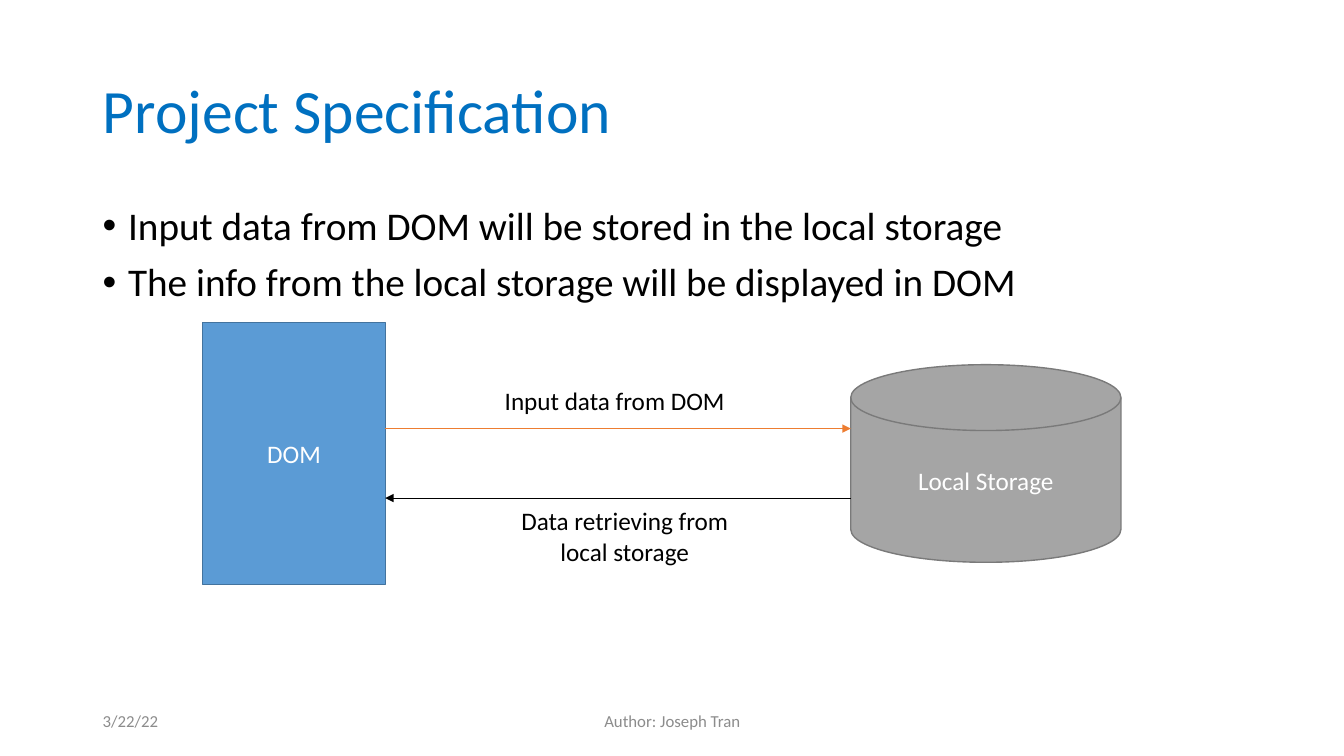
from pptx import Presentation
from pptx.dml.color import RGBColor
from pptx.enum.shapes import MSO_CONNECTOR, MSO_SHAPE
from pptx.enum.text import MSO_ANCHOR, MSO_AUTO_SIZE, PP_ALIGN
from pptx.oxml.ns import qn
from pptx.util import Cm, Pt
from lxml.etree import SubElement

FONT = "Calibri"
BLACK = RGBColor(0x00, 0x00, 0x00)
WHITE = RGBColor(0xFF, 0xFF, 0xFF)
TITLE_BLUE = RGBColor(0x00, 0x70, 0xC0)
FOOTER_GREY = RGBColor(0x8C, 0x8C, 0x8C)
DOM_FILL = RGBColor(0x5B, 0x9B, 0xD5)
DOM_EDGE = RGBColor(0x43, 0x73, 0x9E)
STORAGE_FILL = RGBColor(0xA5, 0xA5, 0xA5)
STORAGE_EDGE = RGBColor(0x7A, 0x7A, 0x7A)
ORANGE = RGBColor(0xED, 0x7D, 0x31)

MARGIN, CONTENT_WIDTH = 2.34, 29.21


def write(shape, lines, size, color, align=PP_ALIGN.LEFT, anchor=MSO_ANCHOR.MIDDLE):
    frame = shape.text_frame
    frame.text = "\n".join(lines)
    frame.word_wrap = True
    frame.auto_size = MSO_AUTO_SIZE.NONE
    frame.vertical_anchor = anchor
    for para in frame.paragraphs:
        para.alignment = align
        para.font.name = FONT
        para.font.size = Pt(size)
        para.font.color.rgb = color
    return frame.paragraphs


def add_text(page, box, lines, size, color, align=PP_ALIGN.LEFT, anchor=MSO_ANCHOR.MIDDLE):
    shape = page.shapes.add_textbox(*map(Cm, box))
    return write(shape, lines, size, color, align, anchor)


def add_title(page, box, text):
    title = page.shapes.title
    title.left, title.top, title.width, title.height = map(Cm, box)
    write(title, [text], 44, TITLE_BLUE)[0].line_spacing = 0.9


def add_bullets(page, box, lines):
    for para in add_text(page, box, lines, 28, BLACK, anchor=MSO_ANCHOR.TOP):
        para.line_spacing = 0.9
        para.space_before = Pt(10)
        properties = para._p.get_or_add_pPr()
        properties.set("marL", str(Cm(0.64)))
        properties.set("indent", str(-Cm(0.64)))
        SubElement(properties, qn("a:buFont"), typeface="Arial")
        SubElement(properties, qn("a:buChar"), char="•")


def add_node(page, kind, box, text, fill, edge):
    node = page.shapes.add_shape(kind, *map(Cm, box))
    node.shadow.inherit = False
    node.fill.solid()
    node.fill.fore_color.rgb = fill
    node.line.color.rgb = edge
    node.line.width = Pt(1)
    write(node, [text], 18, WHITE, PP_ALIGN.CENTER)


def add_arrow(page, start, end, height, color):
    arrow = page.shapes.add_connector(
        MSO_CONNECTOR.STRAIGHT, Cm(start), Cm(height), Cm(end), Cm(height))
    arrow.line.color.rgb = color
    arrow.line.width = Pt(0.5)
    SubElement(arrow.line._get_or_add_ln(), qn("a:tailEnd"), type="triangle")
    SubElement(arrow._element.spPr, qn("a:effectLst"))


def add_data_flow(page, box):
    left, top, width, height = box
    dom_width, storage_width = 4.6, 6.81
    dom_right = left + dom_width
    storage_left = left + width - storage_width

    # The two ends of the exchange
    add_node(page, MSO_SHAPE.RECTANGLE, (left, top, dom_width, height),
             "DOM", DOM_FILL, DOM_EDGE)
    add_node(page, MSO_SHAPE.FLOWCHART_MAGNETIC_DISK,
             (storage_left, top + 1.06, storage_width, 4.98),
             "Local Storage", STORAGE_FILL, STORAGE_EDGE)

    # Arrows there and back
    add_arrow(page, dom_right, storage_left, top + 2.67, ORANGE)
    add_arrow(page, storage_left, dom_right, top + 4.42, BLACK)

    # Arrow labels
    label_left, label_width = left + 7.36, 6.55
    add_text(page, (label_left, top + 1.45, label_width, 1.02),
             ["Input data from DOM"], 18, BLACK, anchor=MSO_ANCHOR.TOP)
    add_text(page, (label_left, top + 4.49, label_width, 1.8),
             ["Data retrieving from local storage"], 18, BLACK,
             PP_ALIGN.CENTER, MSO_ANCHOR.TOP)


def add_footer(page, box, date, author):
    left, top, width, height = box
    author_width = 11.43
    add_text(page, (left, top, 7.62, height), [date], 12, FOOTER_GREY)
    add_text(page, (left + (width - author_width) / 2, top, author_width, height),
             [author], 12, FOOTER_GREY, PP_ALIGN.CENTER)


def main():
    deck = Presentation()
    deck.slide_width, deck.slide_height = Cm(33.87), Cm(19.05)
    page = deck.slides.add_slide(deck.slide_layouts[5])
    add_title(page, (MARGIN, 1.02, CONTENT_WIDTH, 3.68), "Project Specification")
    add_bullets(page, (MARGIN, 5.08, CONTENT_WIDTH, 12.09), [
        "Input data from DOM will be stored in the local storage",
        "The info from the local storage will be displayed in DOM",
    ])
    add_footer(page, (MARGIN, 17.65, CONTENT_WIDTH, 1.02), "3/22/22", "Author: Joseph Tran")
    add_data_flow(page, (5.11, 8.13, 23.14, 6.6))
    deck.save("out.pptx")


if __name__ == "__main__":
    main()
